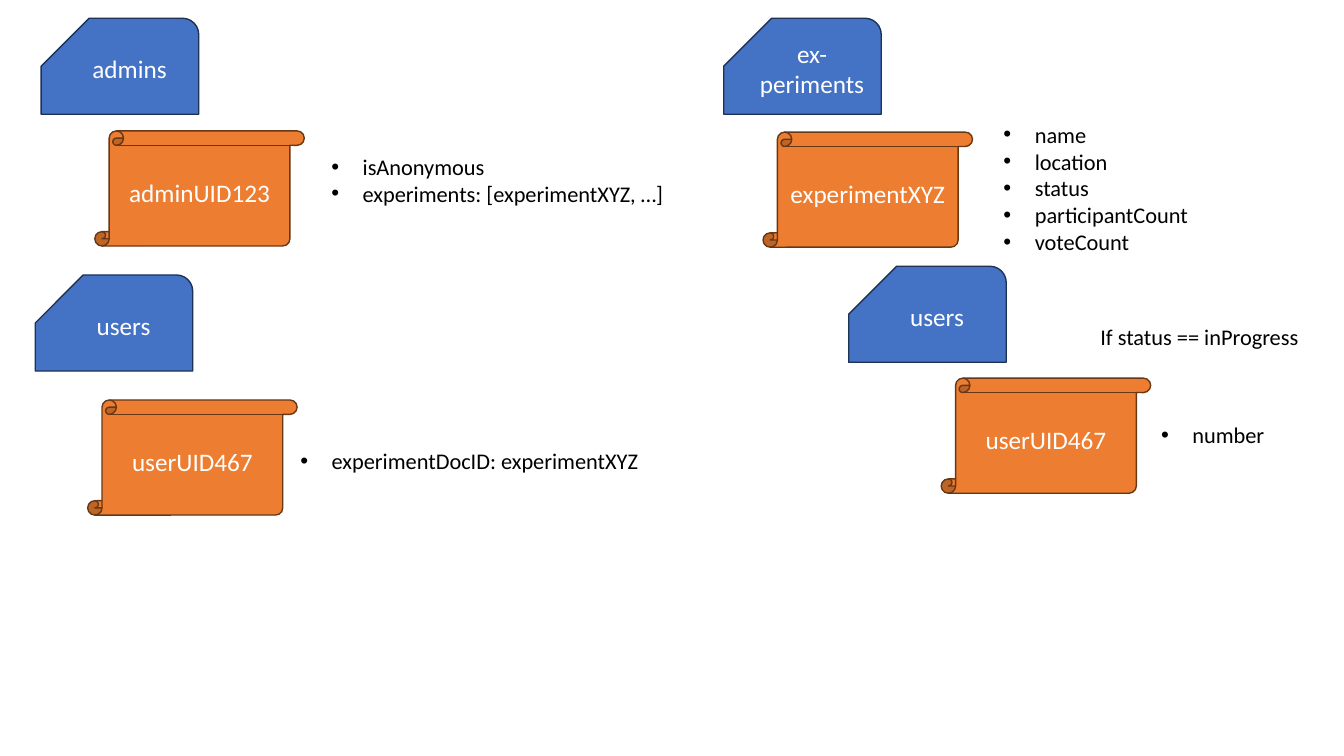
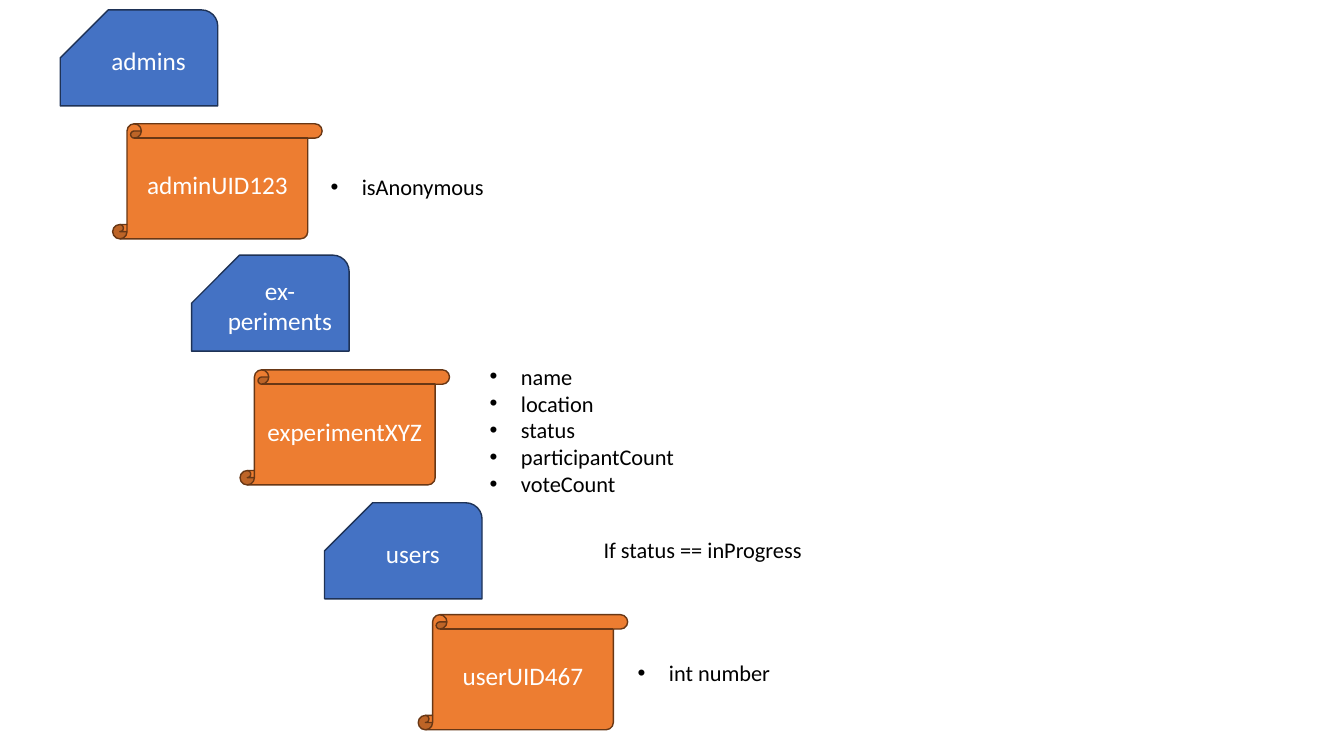
"""Build two slides that compare document database layouts."""
from lxml import etree
from pptx import Presentation
from pptx.dml.color import RGBColor
from pptx.enum.shapes import MSO_SHAPE
from pptx.enum.text import MSO_ANCHOR, MSO_AUTO_SIZE, PP_ALIGN
from pptx.oxml.ns import qn
from pptx.util import Cm, Pt

FOLDER = MSO_SHAPE.SNIP_ROUND_RECTANGLE
SCROLL = MSO_SHAPE.VERTICAL_SCROLL
MIDDLE = MSO_ANCHOR.MIDDLE
TOP = MSO_ANCHOR.TOP
CENTER = PP_ALIGN.CENTER
LEFT = PP_ALIGN.LEFT
FIT_TEXT = MSO_AUTO_SIZE.SHAPE_TO_FIT_TEXT

EXPERIMENT_FIELDS = ["name", "location", "status", "participantCount", "voteCount"]
CONDITION = "If status == inProgress"

SLIDES = [
    {
        "collections": [
            ("admins", 1.04, 0.46),
            ("ex-periments", 18.24, 0.46),
            ("users", 21.39, 6.71),
            ("users", 0.89, 6.93),
        ],
        "documents": [
            ("adminUID123", 2.39, 3.3),
            ("experimentXYZ", 19.23, 3.33),
            ("userUID467", 23.72, 9.53),
            ("userUID467", 2.21, 10.08),
        ],
        "fields": [
            (EXPERIMENT_FIELDS, 25.04, 2.92, 7.4),
            (["isAnonymous", "experiments: [experimentXYZ, …]"], 8.1, 3.73, 9.4),
            (["number"], 29.01, 10.49, 3.66),
            (["experimentDocID: experimentXYZ"], 7.32, 11.15, 9.4),
        ],
        "condition": (27.48, 8.03),
    },
    {
        "collections": [
            ("admins", 1.52, 0.25),
            ("ex-periments", 4.83, 6.43),
            ("users", 8.18, 12.67),
        ],
        "documents": [
            ("adminUID123", 2.84, 3.12),
            ("experimentXYZ", 6.05, 9.32),
            ("userUID467", 10.54, 15.49),
        ],
        "fields": [
            (EXPERIMENT_FIELDS, 12.09, 9.02, 5.4),
            (["isAnonymous"], 8.08, 4.24, 9.4),
            (["int number"], 15.82, 16.48, 7),
        ],
        "condition": (14.96, 13.39),
    },
]

COLORS = {
    "collection": "4472C4",
    "collection line": "1E3256",
    "document": "ED7D31",
    "document line": "683715",
    "label": "FFFFFF",
    "text": "000000",
}
NODES = {
    "collection": {"preset": FOLDER, "size": (3.97, 2.42), "adjust": (0.17, 0.5), "flip": True},
    "document": {"preset": SCROLL, "size": (5.28, 2.9), "adjust": (), "flip": False},
}
LABEL_FRAME = {"word_wrap": True, "vertical_anchor": MIDDLE}
NOTE_FRAME = {"word_wrap": True, "vertical_anchor": TOP, "auto_size": FIT_TEXT}
LABEL_FONT = {"name": "Calibri", "size": Pt(18)}
NOTE_FONT = {"name": "Calibri", "size": Pt(16)}
CONDITION_WIDTH = 6.3
LINE_HEIGHT = 0.68
FRAME_PADDING = 0.25
BULLET_INDENT = Cm(0.79)


def set_values(target, values):
    for name, value in values.items():
        setattr(target, name, value)


def add_bullet(paragraph):
    properties = paragraph._p.get_or_add_pPr()
    properties.set("marL", str(BULLET_INDENT))
    properties.set("indent", str(-BULLET_INDENT))
    etree.SubElement(properties, qn("a:buFont")).set("typeface", "Arial")
    etree.SubElement(properties, qn("a:buChar")).set("char", "•")


def write_text(shape, lines, frame_format, font_format, color, alignment, bulleted=False):
    frame = shape.text_frame
    set_values(frame, frame_format)
    frame.text = "\n".join(lines)
    for paragraph in frame.paragraphs:
        paragraph.alignment = alignment
        font = paragraph.runs[0].font
        set_values(font, font_format)
        font.color.rgb = RGBColor.from_string(COLORS[color])
        if bulleted:
            add_bullet(paragraph)


def add_node(slide, kind, label, left, top):
    node = NODES[kind]
    width, height = node["size"]
    shape = slide.shapes.add_shape(node["preset"], Cm(left), Cm(top), Cm(width), Cm(height))
    shape.shadow.inherit = False
    for index, value in enumerate(node["adjust"]):
        shape.adjustments[index] = value
    if node["flip"]:
        shape._element.spPr.find(qn("a:xfrm")).set("flipH", "1")
    shape.fill.solid()
    shape.fill.fore_color.rgb = RGBColor.from_string(COLORS[kind])
    shape.line.color.rgb = RGBColor.from_string(COLORS[f"{kind} line"])
    shape.line.width = Pt(1)
    write_text(shape, [label], LABEL_FRAME, LABEL_FONT, "label", CENTER)


def add_note(slide, lines, left, top, width, bulleted):
    height = LINE_HEIGHT * len(lines) + FRAME_PADDING
    box = slide.shapes.add_textbox(Cm(left), Cm(top), Cm(width), Cm(height))
    write_text(box, lines, NOTE_FRAME, NOTE_FONT, "text", LEFT, bulleted)


def build_slide(presentation, content):
    slide = presentation.slides.add_slide(presentation.slide_layouts.get_by_name("Blank"))
    for kind in NODES:
        for label, left, top in content[f"{kind}s"]:
            add_node(slide, kind, label, left, top)
    for lines, left, top, width in content["fields"]:
        add_note(slide, lines, left, top, width, bulleted=True)
    add_note(slide, [CONDITION], *content["condition"], CONDITION_WIDTH, bulleted=False)


def main():
    presentation = Presentation()
    set_values(presentation, {"slide_width": Cm(33.87), "slide_height": Cm(19.05)})
    for content in SLIDES:
        build_slide(presentation, content)
    presentation.save("out.pptx")


if __name__ == "__main__":
    main()
